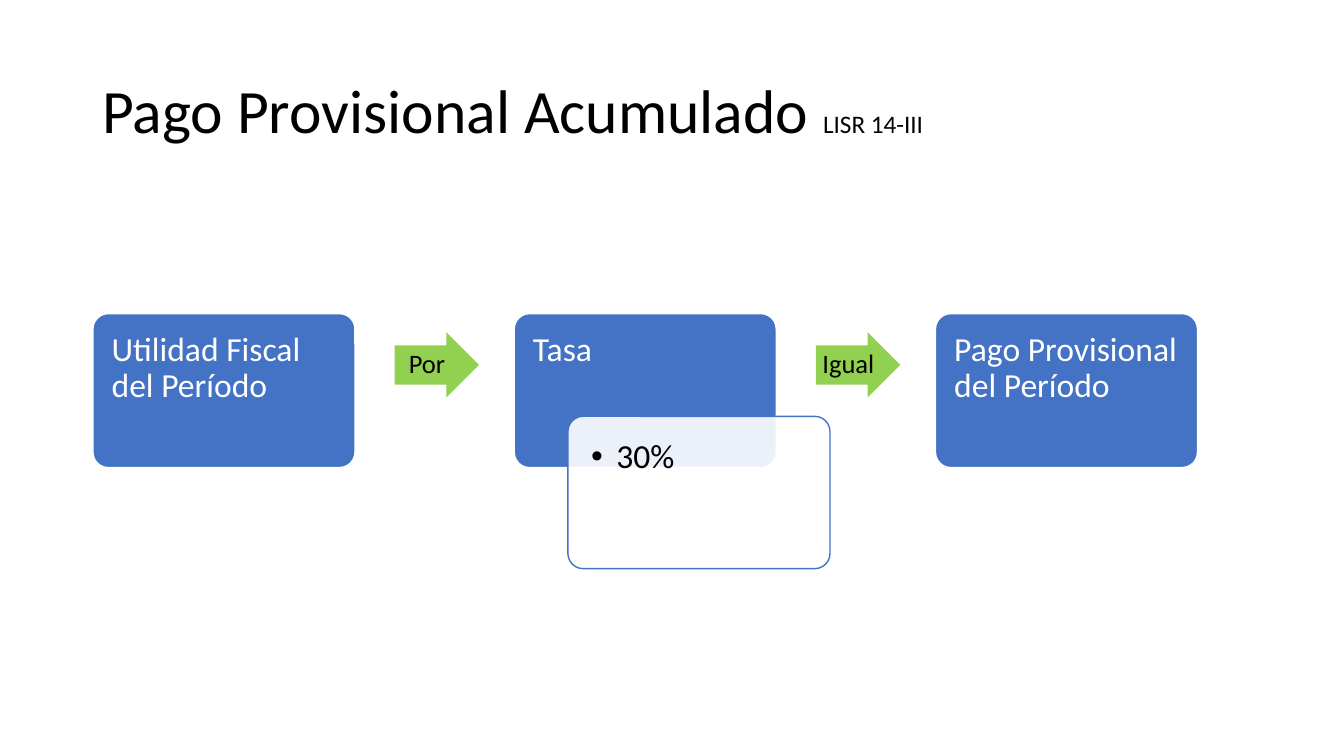
from pptx import Presentation
from pptx.dml.color import RGBColor
from pptx.enum import shapes, text
from pptx.oxml import parse_xml
from pptx.oxml.ns import nsdecls, qn
from pptx.util import Pt

FONT = "Calibri"
BLUE = RGBColor(0x44, 0x72, 0xC4)
GREEN = RGBColor(0x92, 0xD0, 0x50)
WHITE = RGBColor(0xFF, 0xFF, 0xFF)
BLACK = RGBColor(0x00, 0x00, 0x00)

TITLE = [("Pago Provisional Acumulado ", 44), ("LISR 14-III", 18)]
# Step, detail card below it, word on the arrow to the next step
STEPS = [
    ("Utilidad Fiscal del Período", None, "Por"),
    ("Tasa", "30%", "Igual"),
    ("Pago Provisional del Período", None, None),
]

STEP_LEFT, STEP_TOP, STEP_PITCH = 66.4, 224, 300.9
STEP_W, STEP_H = 187.2, 110
CARD_DX, CARD_DY, CARD_H = 38.4, 73.4, 108.8
ARROW_DX, ARROW_DY, ARROW_W, ARROW_H = 215.6, 13.3, 60.2, 46.8


def write(shape, runs, color, insets, anchor, align=text.PP_ALIGN.LEFT):
    """Fill a shape with one paragraph; insets are left, top, right, bottom."""
    frame = shape.text_frame
    frame.word_wrap = True
    frame.vertical_anchor = anchor
    (frame.margin_left, frame.margin_top,
     frame.margin_right, frame.margin_bottom) = map(Pt, insets)
    paragraph = frame.paragraphs[0]
    paragraph.alignment = align
    paragraph.line_spacing = 0.9
    for words, size in runs:
        run = paragraph.add_run()
        run.text = words
        run.font.name = FONT
        run.font.size = Pt(size)
        run.font.color.rgb = color
    return paragraph


def add_block(slide, kind, left, top, width, height, fill, line=None):
    block = slide.shapes.add_shape(kind, Pt(left), Pt(top), Pt(width), Pt(height))
    block.shadow.inherit = False
    block.fill.solid()
    block.fill.fore_color.rgb = fill
    if line is None:
        block.line.fill.background()
    else:
        block.line.color.rgb = line
        block.line.width = Pt(1)
    return block


def add_rounded(slide, left, top, height, fill, line):
    rounded = add_block(slide, shapes.MSO_SHAPE.ROUNDED_RECTANGLE,
                        left, top, STEP_W, height, fill, line)
    rounded.adjustments[0] = 0.1
    return rounded


def add_step(slide, left, label):
    step = add_rounded(slide, left, STEP_TOP, STEP_H, BLUE, WHITE)
    write(step, [(label, 24)], WHITE, (10.2, 10.2, 8, 40), text.MSO_ANCHOR.TOP)


def add_card(slide, left, detail):
    """Add the nearly opaque card with its bulleted detail."""
    card = add_rounded(slide, left + CARD_DX, STEP_TOP + CARD_DY, CARD_H, WHITE, BLUE)
    tint = card.fill._xPr.find(qn("a:solidFill"))[0]
    tint.append(parse_xml(f'<a:alpha {nsdecls("a")} val="90000"/>'))
    paragraph = write(card, [(detail, 24)], BLACK, (13.4,) * 4, text.MSO_ANCHOR.TOP)
    props = paragraph._p.get_or_add_pPr()
    props.set("marL", str(Pt(18)))
    props.set("indent", str(-Pt(18)))
    props.append(parse_xml(f'<a:buFont {nsdecls("a")} typeface="Arial"/>'))
    props.append(parse_xml(f'<a:buChar {nsdecls("a")} char="•"/>'))


def add_arrow(slide, left, word):
    arrow = add_block(slide, shapes.MSO_SHAPE.RIGHT_ARROW, left + ARROW_DX,
                      STEP_TOP + ARROW_DY, ARROW_W, ARROW_H, GREEN)
    arrow.adjustments[0] = 0.6
    arrow.adjustments[1] = 0.5
    write(arrow, [(word, 19)], BLACK, (0,) * 4, text.MSO_ANCHOR.MIDDLE,
          text.PP_ALIGN.CENTER)


def main():
    deck = Presentation()
    deck.slide_width, deck.slide_height = Pt(960), Pt(540)
    slide = deck.slides.add_slide(deck.slide_layouts[6])

    title = slide.shapes.add_textbox(Pt(66), Pt(28.8), Pt(828), Pt(104.4))
    write(title, TITLE, BLACK, (7.2, 3.6, 7.2, 3.6), text.MSO_ANCHOR.MIDDLE)

    for index, (label, detail, word) in enumerate(STEPS):
        left = STEP_LEFT + index * STEP_PITCH
        add_step(slide, left, label)
        if detail:
            add_card(slide, left, detail)
        if word:
            add_arrow(slide, left, word)

    deck.save("out.pptx")


if __name__ == "__main__":
    main()
